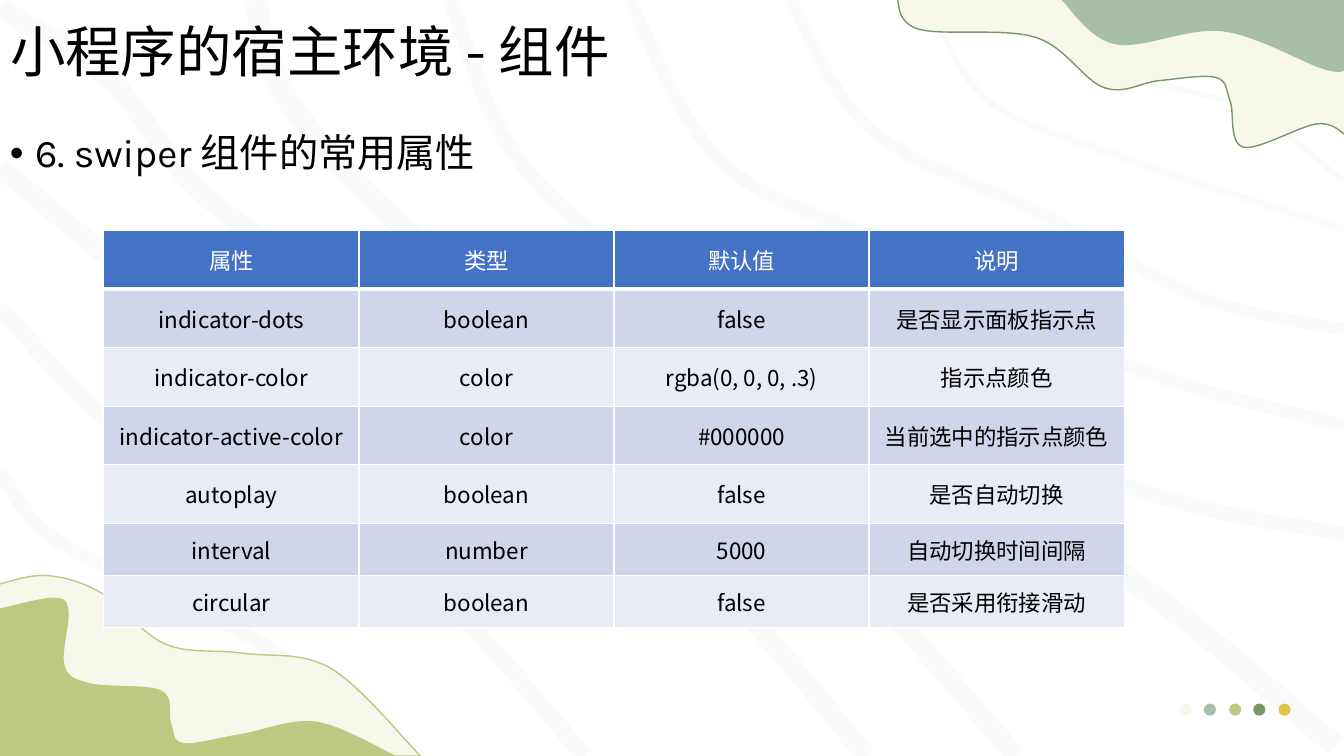
from dataclasses import dataclass

from lxml.etree import SubElement as Sub
from pptx import Presentation
from pptx.dml.color import RGBColor as RGB
from pptx.enum.shapes import MSO_SHAPE as Kind
from pptx.enum.text import MSO_ANCHOR as Anchor, MSO_AUTO_SIZE as Fit, PP_ALIGN as Align
from pptx.oxml.ns import qn
from pptx.util import Pt

PX = 9144
STEPS = 12
LATIN, CJK = "Karla", "Noto Sans CJK JP"
HUES = {
    "white": "FFFFFF", "black": "000000", "cream": "F7F7EC", "sage": "A7BFAA",
    "lime": "BBC982", "moss": "79976B", "gold": "E2C34E",
    "head": "4472C4", "odd": "CFD5EA", "even": "E9EBF5",
}
Point = tuple[float, float]


@dataclass
class Wave:
    wide: int
    knots: list[Point]


@dataclass
class Blob:
    fill: str
    line: str | None
    knots: list[Point]
    ends: list[Point]


WAVES = [
    Wave(14, [(402, 750), (270, 645), (160, 588), (50, 532), (0, 469)]),
    Wave(17, [(580, 750), (432, 588), (300, 523), (118, 425), (0, 305)]),
    Wave(20, [(860, 750), (680, 552), (475, 450), (250, 360), (0, 167)]),
    Wave(20, [(1008, 750), (780, 506), (550, 391), (235, 220), (110, 80), (0, 8)]),
    Wave(22, [(1325, 740), (1090, 555), (770, 408), (480, 285), (300, 120), (252, 0)]),
    Wave(15, [(1333, 530), (1120, 483), (840, 350), (615, 247), (505, 145), (447, 0)]),
    Wave(13, [(1333, 422), (1120, 363), (910, 253), (720, 165), (624, 0)]),
    Wave(12, [(1333, 327), (1190, 295), (1040, 215), (865, 130), (784, 0)]),
    Wave(7, [(1333, 228), (1117, 157), (980, 100), (920, 0)]),
    Wave(6, [(1333, 180), (1240, 110), (1124, 73), (1014, 0)]),
]
BLOBS = [
    Blob("cream", "lime",
         [(-3, 580), (46, 571), (100, 588), (164, 639), (240, 648), (328, 663), (417, 750)], [(-3, 750)]),
    Blob("lime", None,
         [(-1, 604), (53, 593), (68, 606), (64, 660), (90, 678), (160, 685), (170, 718), (182, 737),
          (240, 728), (314, 716), (393, 750)], [(-1, 750)]),
    Blob("cream", "moss",
         [(1335, 134), (1306, 123), (1233, 146), (1220, 100), (1206, 77), (1150, 80), (1095, 87),
          (1027, 37), (911, 29), (889, -4)], [(1336, -4)]),
    Blob("sage", None,
         [(1335, 70), (1311, 68), (1212, 31), (1106, 44), (1051, -2)], [(1335, -2)]),
]
DOTS = ["cream", "sage", "lime", "moss", "gold"]
ROWS = [
    ("属性", "类型", "默认值", "说明"),
    ("indicator-dots", "boolean", "false", "是否显示面板指示点"),
    ("indicator-color", "color", "rgba(0, 0, 0, .3)", "指示点颜色"),
    ("indicator-active-color", "color", "#000000", "当前选中的指示点颜色"),
    ("autoplay", "boolean", "false", "是否自动切换"),
    ("interval", "number", "5000", "自动切换时间间隔"),
    ("circular", "boolean", "false", "是否采用衔接滑动"),
]


def hue(name: str) -> RGB:
    return RGB.from_string(HUES[name])


def bend(knots: list[Point]) -> list[Point]:
    pad = [knots[0], *knots, knots[-1]]
    pts = [knots[0]]
    for quad in zip(pad, pad[1:], pad[2:], pad[3:]):
        for k in range(1, STEPS + 1):
            t = k / STEPS
            mix = (-t + 2 * t**2 - t**3, 2 - 5 * t**2 + 3 * t**3, t + 4 * t**2 - 3 * t**3, t**3 - t**2)
            pts.append(tuple(sum(m * p[a] for m, p in zip(mix, quad)) / 2 for a in (0, 1)))
    return pts


def trace(shapes, pts: list[Point], close: bool):
    path = [(round(x * PX), round(y * PX)) for x, y in pts]
    pen = shapes.build_freeform(*path[0])
    pen.add_line_segments(path[1:], close=close)
    shape = pen.convert_to_shape()
    shape.shadow.inherit = False
    return shape


def paint(shape, fill: str, line: str | None = None) -> None:
    shape.shadow.inherit = False
    shape.fill.solid()
    shape.fill.fore_color.rgb = hue(fill)
    if line:
        shape.line.color.rgb = hue(line)
        shape.line.width = Pt(1)
    else:
        shape.line.fill.background()


def adorn(shapes) -> None:
    for wave in WAVES:
        shape = trace(shapes, bend(wave.knots), False)
        shape.fill.background()
        shape.line.color.rgb = hue("sage")
        shape.line.width = wave.wide * PX
        tint = next(shape.element.spPr.iter(qn("a:srgbClr")))
        Sub(tint, qn("a:alpha"), val="5000")
    for blob in BLOBS:
        paint(trace(shapes, bend(blob.knots) + blob.ends, True), blob.fill, blob.line)
    for i, name in enumerate(DOTS):
        box = (1170 + 49 * i // 2, 698, 12, 12)
        paint(shapes.add_shape(Kind.OVAL, *(n * PX for n in box)), name)


def write(frame, text: str, size: float, font: str, ink: str, align: Align) -> None:
    para = frame.paragraphs[0]
    para.text = text
    para.alignment = align
    para.font.size = Pt(size)
    para.font.name = font
    para.font.bold = False
    para.font.color.rgb = hue(ink)


def head(shapes) -> None:
    title = shapes.title
    shapes.element.append(title.element)
    title.left, title.top, title.width, title.height = (n * PX for n in (0, 26, 959, 57))
    frame = title.text_frame
    frame.auto_size = Fit.NONE
    frame.vertical_anchor = Anchor.MIDDLE
    frame.paragraphs[0].line_spacing = 0.9
    write(frame, "小程序的宿主环境 - 组件", 39.6, LATIN, "black", Align.LEFT)

    frame = shapes.add_textbox(*(n * PX for n in (0, 128, 1077, 57))).text_frame
    frame.word_wrap = True
    para = frame.paragraphs[0]
    para.line_spacing = 0.9
    props = para._p.get_or_add_pPr()
    props.set("marL", str(25 * PX))
    props.set("indent", str(-25 * PX))
    Sub(props, qn("a:buFont"), typeface="Arial")
    Sub(props, qn("a:buChar"), char="•")
    write(frame, "6. swiper 组件的常用属性", 28, LATIN, "black", Align.LEFT)


def edge(cell, row: int) -> None:
    props = cell._tc.get_or_add_tcPr()
    thick = {"lnT": row == 1, "lnB": row == 0}
    for i, side in enumerate(("lnL", "lnR", "lnT", "lnB")):
        line = props.makeelement(qn(f"a:{side}"), {"w": str(Pt(3 if thick.get(side) else 1))})
        Sub(Sub(line, qn("a:solidFill")), qn("a:srgbClr"), val=HUES["white"])
        props.insert(i, line)


def grid(shapes) -> None:
    high = [58] * 5 + [52] * 2
    table = shapes.add_table(len(ROWS), 4, *(n * PX for n in (103, 229, 1012, sum(high)))).table
    for row, size in zip(table.rows, high):
        row.height = size * PX
    for r, texts in enumerate(ROWS):
        for c, text in enumerate(texts):
            cell = table.cell(r, c)
            cell.vertical_anchor = Anchor.MIDDLE
            cell.fill.solid()
            cell.fill.fore_color.rgb = hue("head" if r == 0 else "odd" if r % 2 else "even")
            write(cell.text_frame, text, 16, CJK, "black" if r else "white", Align.CENTER)
            edge(cell, r)


def main() -> None:
    """Build the slide on the common swiper attributes."""
    deck = Presentation()
    deck.slide_width, deck.slide_height = 1333 * PX, 750 * PX
    shapes = deck.slides.add_slide(deck.slide_layouts[5]).shapes
    adorn(shapes)
    head(shapes)
    grid(shapes)
    deck.save("out.pptx")


if __name__ == "__main__":
    main()
